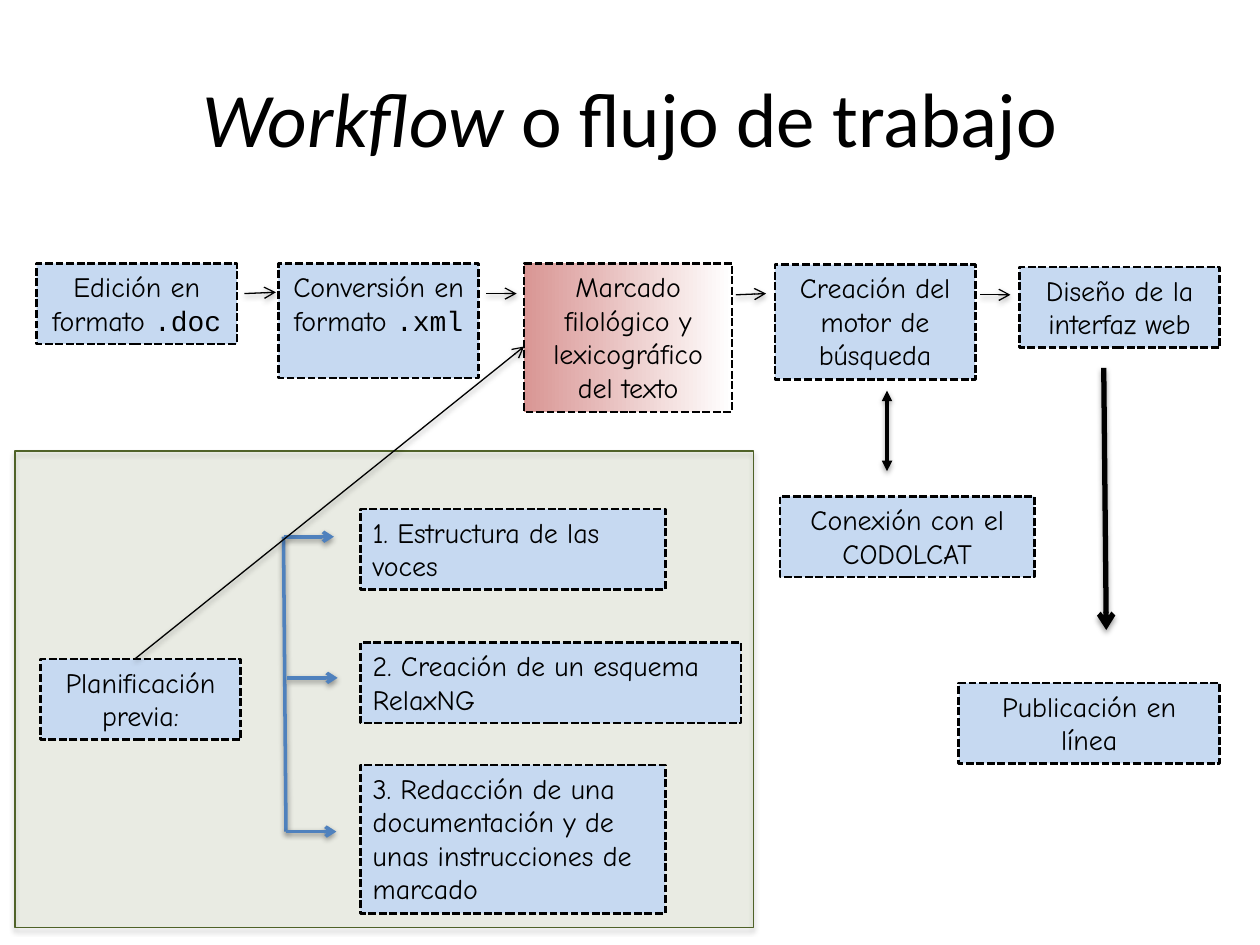
from dataclasses import dataclass

from lxml import etree
from pptx import Presentation
from pptx.dml.color import RGBColor
from pptx.enum.dml import MSO_LINE
from pptx.enum.shapes import MSO_CONNECTOR, MSO_SHAPE
from pptx.enum.text import MSO_ANCHOR, PP_ALIGN
from pptx.oxml.ns import qn
from pptx.util import Pt

EMU_PER_PX = 9144
RECTANGLE = MSO_SHAPE.RECTANGLE
STRAIGHT = MSO_CONNECTOR.STRAIGHT
DASH = MSO_LINE.SQUARE_DOT
LEFT, CENTER = PP_ALIGN.LEFT, PP_ALIGN.CENTER
TOP, MIDDLE = MSO_ANCHOR.TOP, MSO_ANCHOR.MIDDLE


@dataclass(frozen=True)
class Theme:
    ink: str = "000000"
    box: str = "C6D9F1"
    highlight: tuple = ("D99694", "FFFFFF")
    branch: str = "4F81BD"
    panel: str = "77933C"
    panel_edge: str = "4F6228"
    title_font: str = "Calibri"
    body_font: str = "Comic Neue"
    code_font: str = "Courier New"
    title_size: int = 44
    body_size: int = 16


def px(*lengths):
    return [length * EMU_PER_PX for length in lengths]


def rgb(color):
    return RGBColor.from_string(color)


class WorkflowSlide:
    """Draws the elements of a workflow diagram on one slide in one theme."""

    def __init__(self, slide, theme):
        self.shapes = slide.shapes
        self.theme = theme

    def add_shadow(self, shape, distance, opacity):
        effects = etree.SubElement(shape._element.spPr, qn("a:effectLst"))
        shadow = etree.SubElement(
            effects, qn("a:outerShdw"), blurRad="40000", dist=str(distance),
            dir="5400000", rotWithShape="0")
        color = etree.SubElement(shadow, qn("a:srgbClr"), val=self.theme.ink)
        etree.SubElement(color, qn("a:alpha"), val=str(opacity * 1000))

    def set_text(self, shape, segments, size, align, anchor):
        frame = shape.text_frame
        frame.word_wrap = True
        frame.vertical_anchor = anchor
        paragraph = frame.paragraphs[0]
        paragraph.alignment = align
        for text, font_name, italic in segments:
            run = paragraph.add_run()
            run.text = text
            run.font.name = font_name
            run.font.size = Pt(size)
            run.font.italic = italic
            run.font.color.rgb = rgb(self.theme.ink)

    def title(self, emphasis, rest, area):
        font_name = self.theme.title_font
        segments = [(emphasis, font_name, True), (rest, font_name, False)]
        self.set_text(self.shapes.add_textbox(*px(*area)), segments,
                      self.theme.title_size, CENTER, MIDDLE)

    def box(self, text, area, code="", align=CENTER, gradient=None):
        shape = self.shapes.add_shape(RECTANGLE, *px(*area))
        shape.shadow.inherit = False
        if gradient:
            shape.fill.gradient()
            shape.fill.gradient_angle = 0
            for position, (stop, color) in enumerate(zip(shape.fill.gradient_stops, gradient)):
                stop.color.rgb = rgb(color)
                stop.position = position
        else:
            shape.fill.solid()
            shape.fill.fore_color.rgb = rgb(self.theme.box)
        shape.line.color.rgb = rgb(self.theme.ink)
        shape.line.width = Pt(1.5)
        shape.line.dash_style = DASH
        segments = [(text, self.theme.body_font, False)]
        if code:
            segments.append((code, self.theme.code_font, False))
        self.set_text(shape, segments, self.theme.body_size, align, TOP)

    def panel(self, area):
        shape = self.shapes.add_shape(RECTANGLE, *px(*area))
        shape.fill.solid()
        shape.fill.fore_color.rgb = rgb(self.theme.panel)
        color = shape._element.spPr.find(".//" + qn("a:srgbClr"))
        etree.SubElement(color, qn("a:alpha"), val="10000")
        shape.line.color.rgb = rgb(self.theme.panel_edge)
        shape.line.width = Pt(0.75)
        self.add_shadow(shape, 23000, 35)

    def line(self, start, end, width=0.75, color=None, head=None, tail="arrow"):
        connector = self.shapes.add_connector(STRAIGHT, *px(*start, *end))
        connector.line.color.rgb = rgb(color or self.theme.ink)
        connector.line.width = Pt(width)
        outline = connector._element.spPr.find(qn("a:ln"))
        for tag, kind in (("a:headEnd", head), ("a:tailEnd", tail)):
            if kind:
                etree.SubElement(outline, qn(tag), type=kind)
        self.add_shadow(connector, 20000, 38)


def main():
    presentation = Presentation()
    presentation.slide_width, presentation.slide_height = px(1000, 750)
    theme = Theme()
    slide = presentation.slides.add_slide(presentation.slide_layouts[6])
    diagram = WorkflowSlide(slide, theme)
    diagram.title("Workflow", " o flujo de trabajo", (50, 30, 900, 125))

    stages = [
        ("Edición en formato ", ".doc", (29, 209, 159, 64), None),
        ("Conversión en formato ", ".xml", (221, 209, 159, 91), None),
        ("Marcado filológico y lexicográfico del texto", "",
         (416, 209, 165, 118), theme.highlight),
        ("Creación del motor de búsqueda", "", (615, 210, 159, 91), None),
        ("Diseño de la interfaz web", "", (809, 212, 159, 64), None),
    ]
    for text, code, area, gradient in stages:
        diagram.box(text, area, code, gradient=gradient)
    for start, end in [((194, 233), (219, 232)), ((386, 233), (410, 233)),
                       ((584, 234), (608, 233)), ((778, 234), (802, 234))]:
        diagram.line(start, end)

    diagram.panel((12, 358, 586, 378))
    diagram.box("Planificación previa:", (32, 523, 159, 64))
    diagram.line((225, 426), (227, 660), 2, theme.branch, tail=None)
    tasks = [
        ("1. Estructura de las voces", 404, 242, 64, (225, 426)),
        ("2. Creación de un esquema RelaxNG", 510, 302, 64, (228, 538)),
        ("3. Redacción de una documentación y de unas instrucciones de marcado",
         607, 242, 118, (227, 660)),
    ]
    for text, top, width, height, (x, y) in tasks:
        diagram.line((x, y), (x + 40, y), 2, theme.branch)
        diagram.box(text, (286, top, width, height), align=LEFT)

    diagram.box("Conexión con el CODOLCAT", (619, 394, 202, 64))
    diagram.line((876, 292), (878, 500), 3)
    diagram.box("Publicación en línea", (761, 542, 207, 64))
    diagram.line((107, 523), (416, 275))
    diagram.line((704, 310), (704, 374), 2, head="triangle", tail="triangle")
    presentation.save("out.pptx")


if __name__ == "__main__":
    main()
